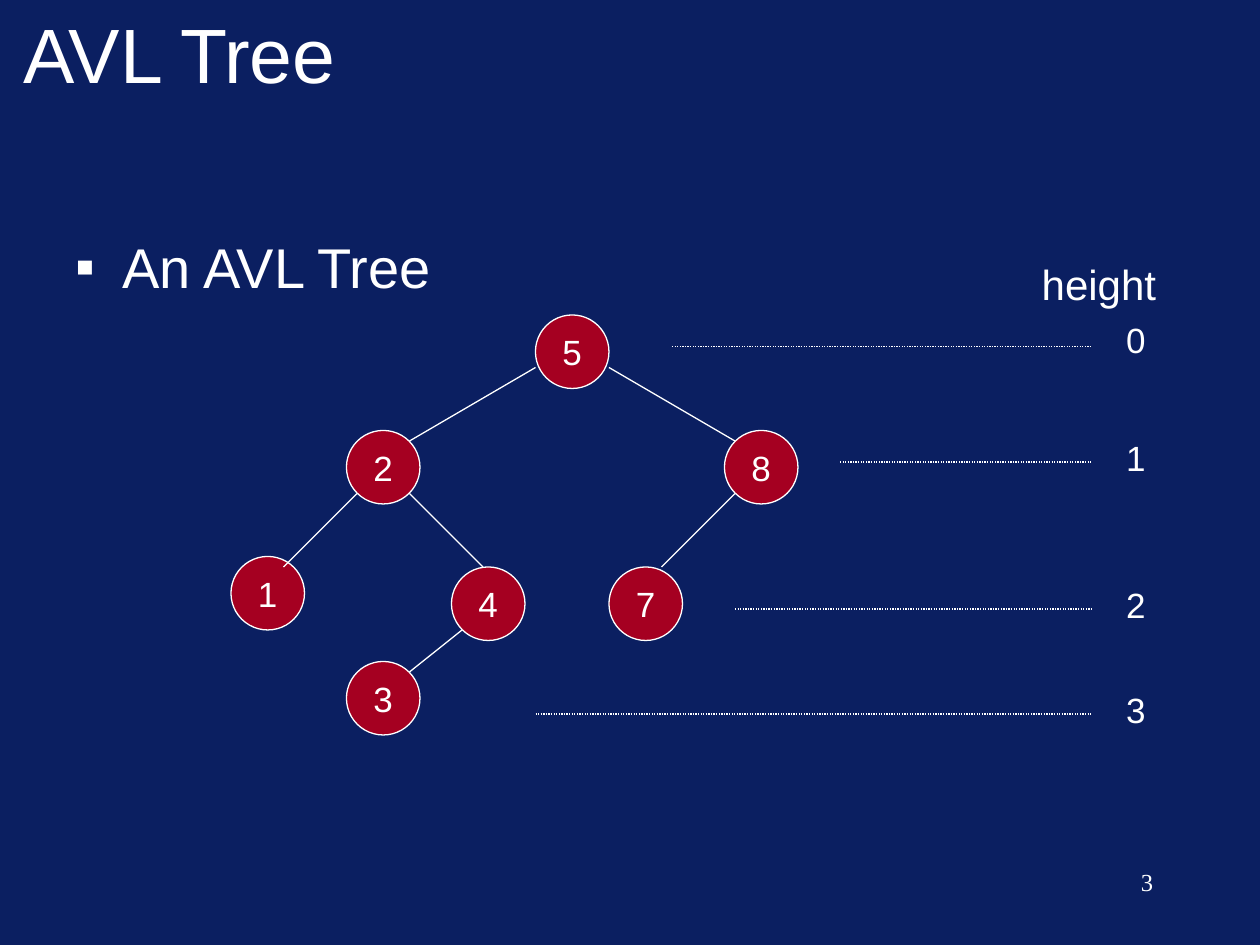
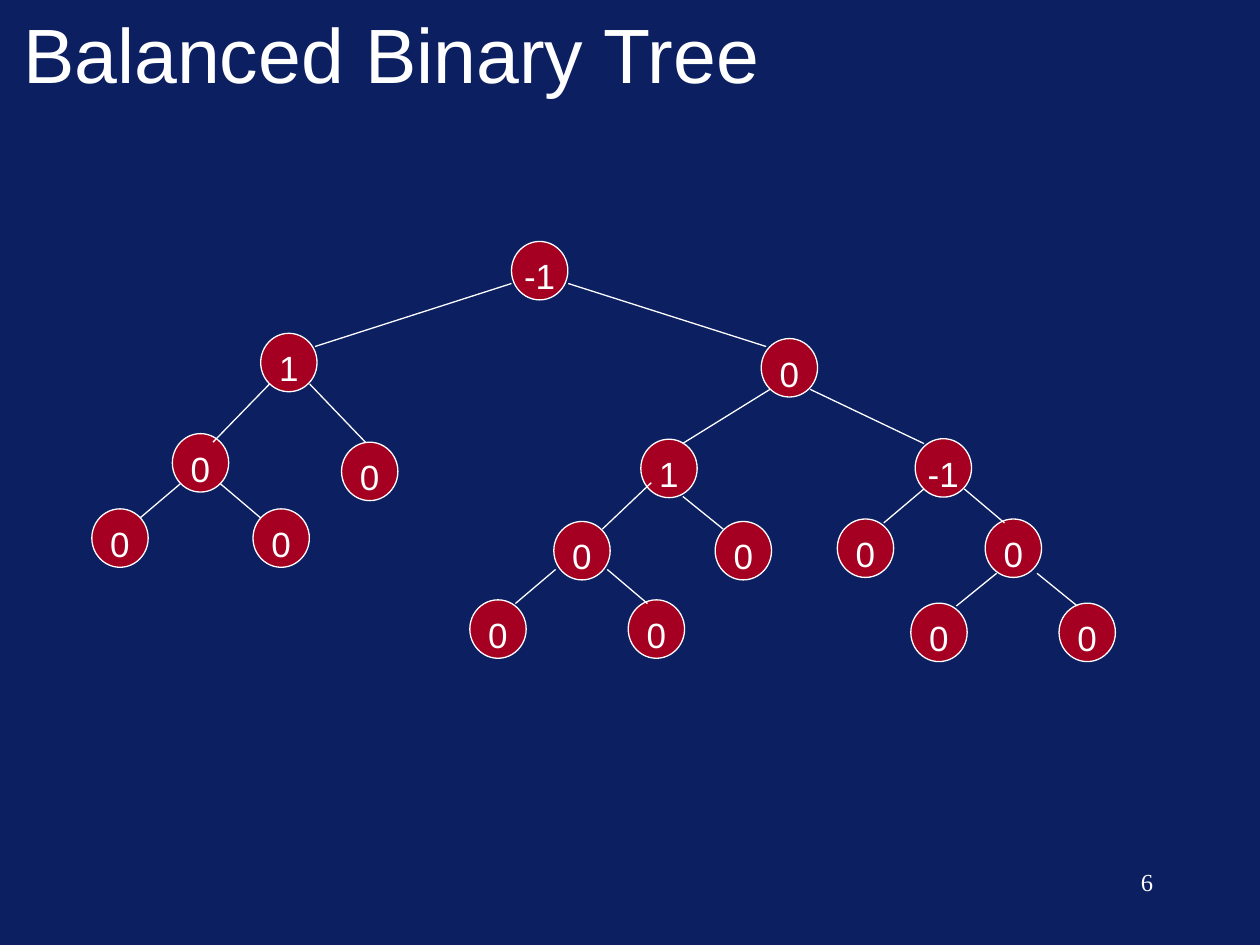
"""Build two slides on balanced binary search trees."""
from pptx import Presentation
from pptx.dml.color import RGBColor
from pptx.enum import dml, shapes, text
from pptx.oxml import parse_xml
from pptx.oxml.ns import nsdecls
from pptx.util import Pt

NAVY, RED, WHITE = "0B1F61", "A50021", "FFFFFF"
LEFT, MID, RIGHT = text.PP_ALIGN.LEFT, text.PP_ALIGN.CENTER, text.PP_ALIGN.RIGHT

# Each node: key, left, top, then the ends of the edge from its parent.
AVL = [
    ("5", 306, 180, None),
    ("8", 414, 246, (348, 210, 420, 252)),
    ("2", 198, 246, (306, 210, 234, 252)),
    ("1", 132, 318, (204, 282, 162, 324)),
    ("4", 258, 324, (234, 282, 276, 324)),
    ("7", 348, 324, (420, 282, 378, 324)),
    ("3", 198, 378, (264, 360, 234, 384)),
]
LEVELS = [(384, 198, 178.5), (480, 264, 246), (420, 348, 330), (306, 408, 390)]

FACTORS = [
    ("-1", 292.3, 138, None),
    ("0", 435, 193.5, (324.7, 162, 437.8, 198)),
    ("1", 149, 190.5, (292.3, 162, 180, 198)),
    ("0", 98.5, 247.8, (154, 219.5, 121.7, 252.7)),
    ("0", 195.2, 252.7, (177, 219.5, 208.8, 252.7)),
    ("0", 52.5, 290.8, (103, 276.5, 80, 296)),
    ("0", 144.6, 290.8, (126, 276.5, 149, 296)),
    ("1", 366.2, 251, (440, 222.5, 390, 253.5)),
    ("-1", 523, 250.7, (463, 222.5, 528, 253.5)),
    ("0", 478.5, 296.6, (528, 279.4, 505, 298.8)),
    ("0", 563, 296.6, (551, 279.4, 574, 298.8)),
    ("0", 316.5, 298, (372.2, 275.8, 344.2, 302.4)),
    ("0", 408.7, 298, (390.2, 283.7, 413.3, 302.4)),
    ("0", 268.5, 342.8, (317.5, 325.4, 294.5, 344.9)),
    ("0", 359, 342.8, (347, 325.4, 370, 344.9)),
    ("0", 520.5, 344.7, (569.5, 327.6, 546.5, 346.3)),
    ("0", 605.2, 344.7, (592.6, 327.6, 615.6, 346.3)),
]


def tint(code):
    """Turn a hex string into a colour."""
    return RGBColor.from_string(code)


def write(shape, words, size, align=LEFT, face="Arial"):
    """Put one styled paragraph in a shape."""
    shape.text_frame.text = words
    para = shape.text_frame.paragraphs[0]
    para.alignment = align
    font = para.runs[0].font
    font.name, font.size = face, Pt(size)
    font.color.rgb = tint(WHITE)
    return para


def label(slide, words, box, size, align=LEFT, face="Arial", wrap=True):
    """Add a text box."""
    shape = slide.shapes.add_textbox(*map(Pt, box))
    shape.text_frame.word_wrap = wrap
    write(shape, words, size, align, face)
    return shape


def bullet(slide, words, box, size, indent):
    """Add a text box with a square bullet."""
    shape = label(slide, words, box, size)
    shape.text_frame.margin_top = Pt(7)
    props = shape.text_frame.paragraphs[0]._p.get_or_add_pPr()
    props.set("marL", str(Pt(indent)))
    props.set("indent", str(-Pt(indent)))
    for tag in ('buFont {} typeface="Arial"', 'buChar {} char="▪"'):
        props.append(parse_xml(f"<a:{tag.format(nsdecls('a'))}/>"))


def line(slide, ends, dots=False):
    """Draw a thin white line."""
    link = slide.shapes.add_connector(
        shapes.MSO_CONNECTOR.STRAIGHT, *map(Pt, ends))
    link.line.color.rgb = tint(WHITE)
    link.line.width = Pt(0.75)
    if dots:
        link.line.dash_style = dml.MSO_LINE.ROUND_DOT
    link._element.spPr.append(parse_xml(f"<a:effectLst {nsdecls('a')}/>"))


def node(slide, key, left, top, size, drop):
    """Draw a red node, its key lowered by the drop."""
    disc = slide.shapes.add_shape(
        shapes.MSO_SHAPE.OVAL, *map(Pt, (left, top, *size)))
    disc.shadow.inherit = False
    disc.fill.solid()
    disc.fill.fore_color.rgb = tint(RED)
    disc.line.color.rgb = tint(WHITE)
    disc.line.width = Pt(0.75)
    frame = disc.text_frame
    frame.word_wrap = False
    frame.vertical_anchor = text.MSO_ANCHOR.MIDDLE
    frame.margin_left = frame.margin_right = frame.margin_bottom = 0
    frame.margin_top = Pt(2 * drop)
    write(disc, key, 20, MID)


def tree(slide, nodes, size, drop=0):
    """Draw all nodes, then the edges between them."""
    for key, left, top, _ in nodes:
        node(slide, key, left, top, size, drop)
    for *_, edge in nodes:
        if edge:
            line(slide, edge)


def page(deck, title, number):
    """Add a slide with its title and page number."""
    slide = deck.slides.add_slide(deck.slide_layouts[5])
    head = slide.shapes.title
    head.left, head.top, head.width, head.height = map(Pt, (6, -6, 648, 72))
    head.text_frame.vertical_anchor = text.MSO_ANCHOR.MIDDLE
    head.text_frame.auto_size = text.MSO_AUTO_SIZE.NONE
    write(head, title, 44)
    label(slide, number, (516, 492, 150, 36), 14, RIGHT, "Times New Roman")
    return slide


def main():
    """Build and save the deck."""
    deck = Presentation()
    deck.slide_width, deck.slide_height = Pt(720), Pt(540)
    back = deck.slide_master.background.fill
    back.solid()
    back.fore_color.rgb = tint(NAVY)

    slide = page(deck, "AVL Tree", "3")
    bullet(slide, "An AVL Tree", (36, 126, 648, 48), 32, 27)
    tree(slide, AVL, (42, 42))
    label(slide, "height", (588, 144, 80, 36), 24, MID, wrap=False)
    for depth, (start, level, top) in enumerate(LEVELS):
        line(slide, (start, level, 624, level), dots=True)
        label(slide, str(depth), (636.5, top, 25, 32), 20, MID, wrap=False)

    slide = page(deck, "Balanced Binary Tree", "6")
    tree(slide, FACTORS, (32.2, 33.4), drop=3)
    deck.save("out.pptx")


if __name__ == "__main__":
    main()
